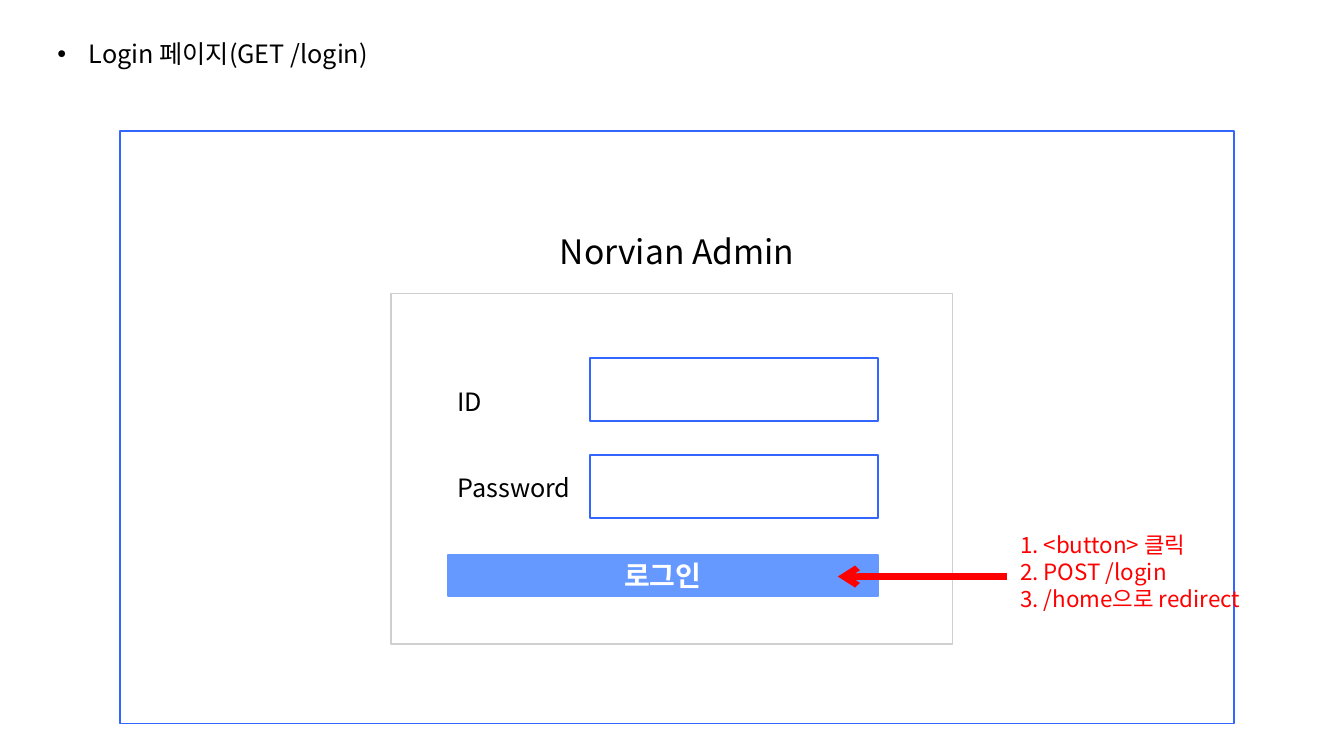
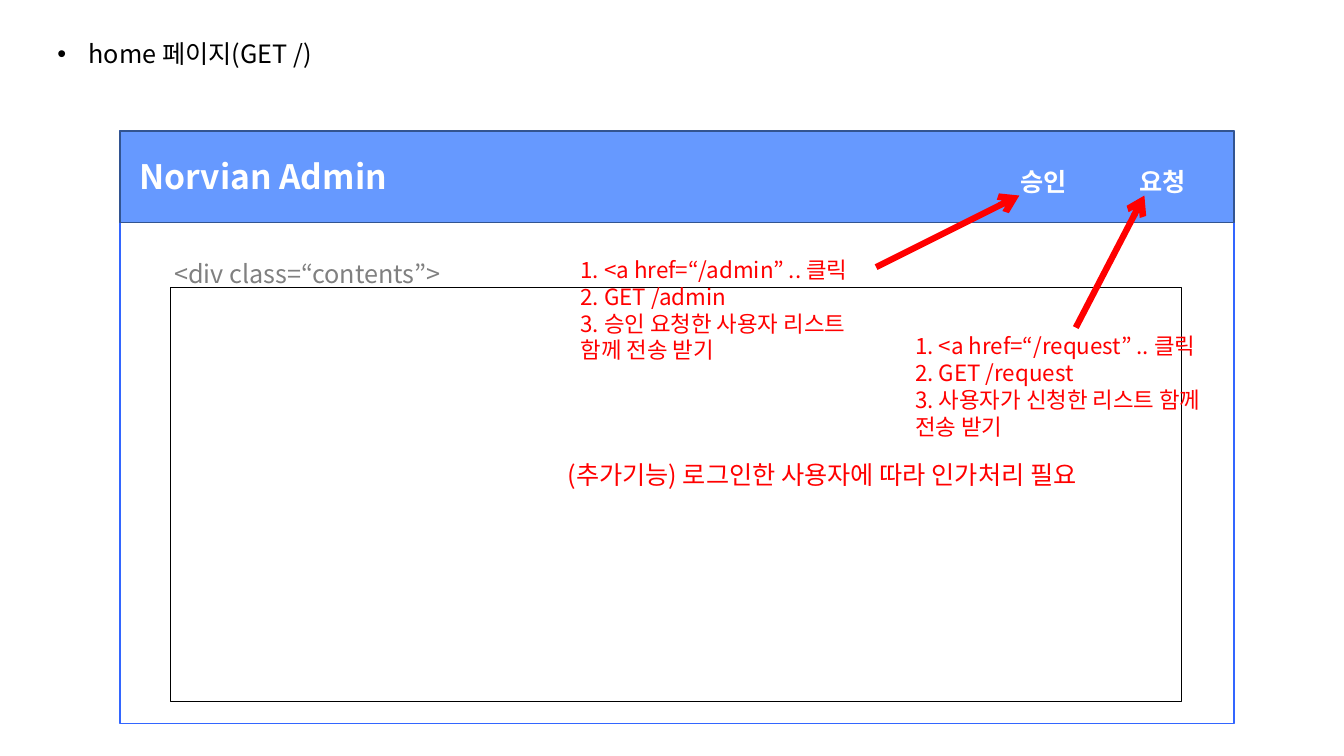
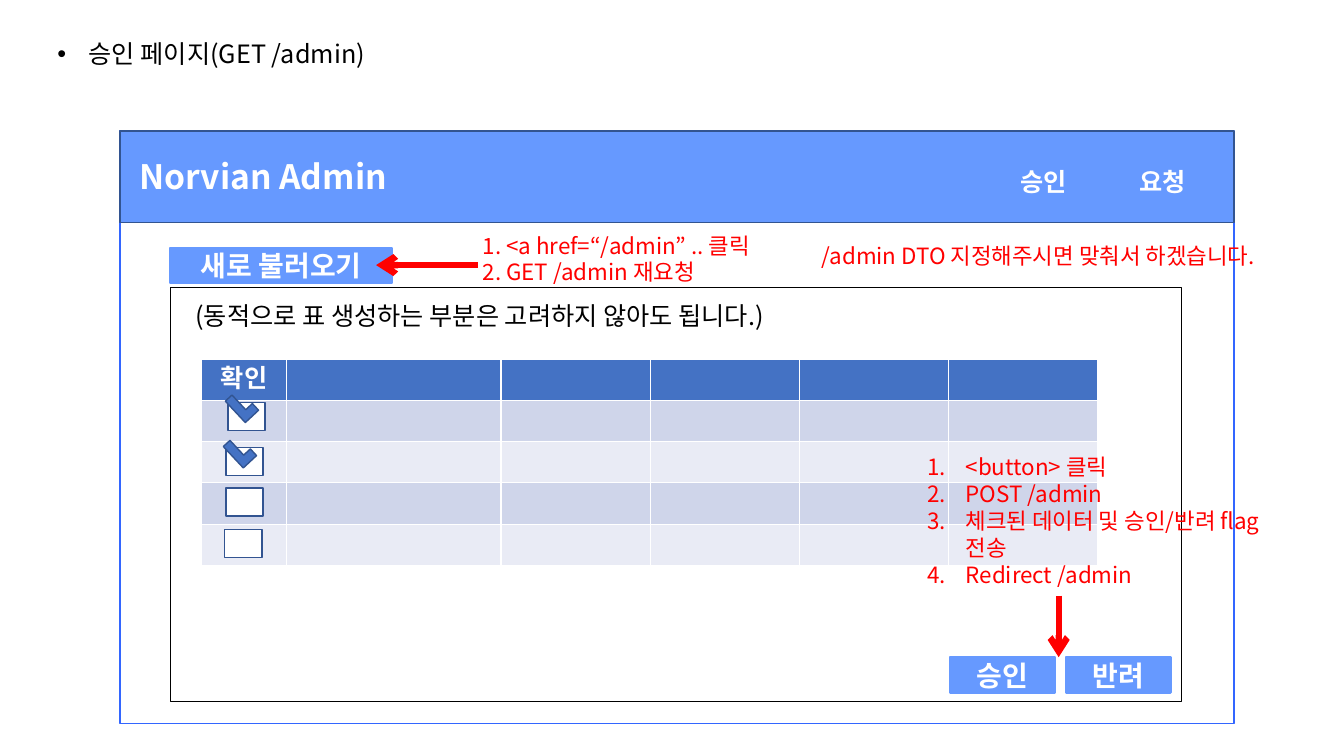
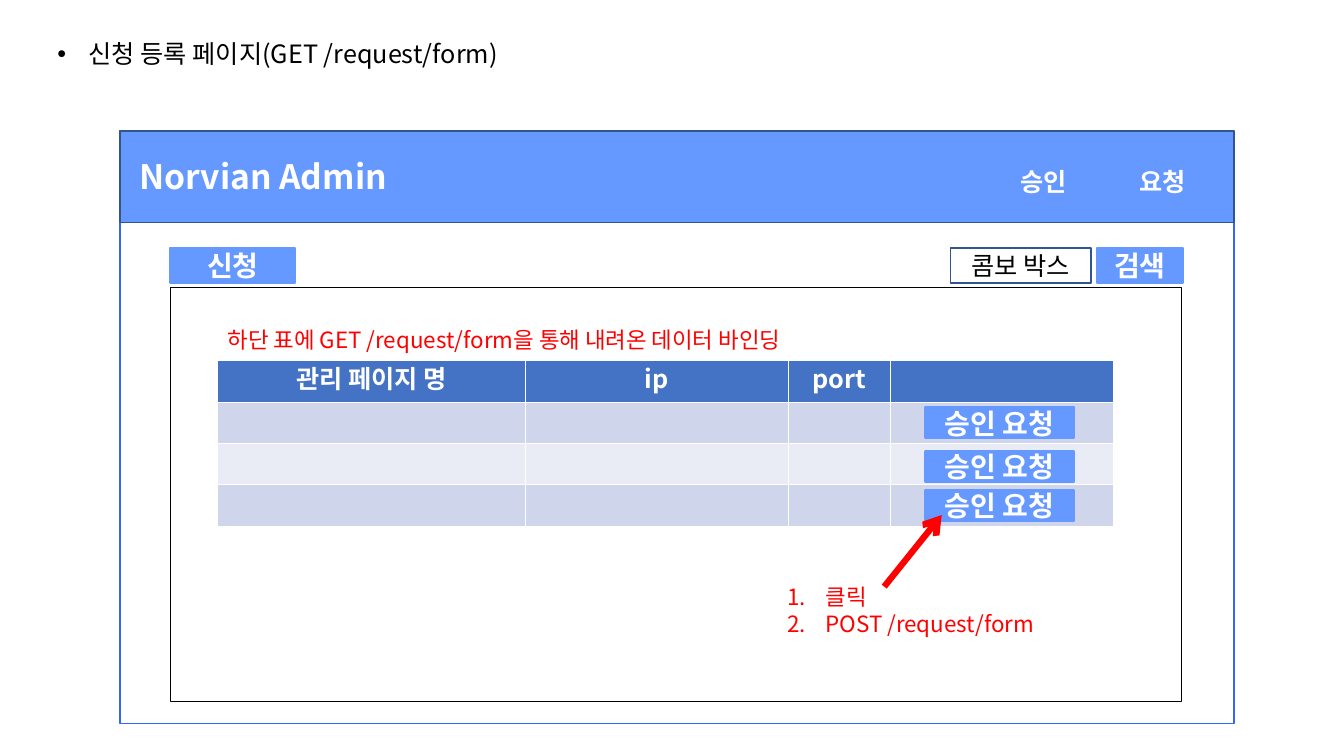
"""Build a four-slide wireframe of an admin site: login, home, approval and request pages."""
from lxml import etree
from pptx import Presentation
from pptx import util as u
from pptx.dml.color import RGBColor
from pptx.enum import shapes, text
from pptx.oxml import ns

COLORS = {
    "black": "000000", "white": "FFFFFF", "red": "FF0000", "gray": "808080",
    "silver": "D0CECE", "frame": "3366FF", "button": "6699FF", "edge": "325491",
    "header": "4472C4", "odd": "CFD5EA", "even": "E9EBF5",
}
RGB = {name: RGBColor.from_string(value) for name, value in COLORS.items()}
FONT = "Noto Sans CJK KR"
BRAND = "Norvian Admin"
LEFT, CENTER = text.PP_ALIGN.LEFT, text.PP_ALIGN.CENTER
FRAME_LEFT, FRAME_TOP, FRAME_WIDTH = 1.19, 1.3, 11.05
PANEL_LEFT, PANEL_TOP = 1.69, 2.85
TOOLBAR_TOP, BUTTON_HEIGHT = 2.46, 0.35


def write(frame, content, size=18, ink="black", bold=False, align=LEFT, bullet=None):
    """Fill a text frame, one paragraph per line, with an optional bullet or numbering."""
    frame.text = content
    for para in frame.paragraphs:
        para.alignment = align
        para.line_spacing = u.Pt(size * 1.2)
        for span in para.runs:
            span.font.size = u.Pt(size)
            span.font.bold = bold
            span.font.color.rgb = RGB[ink]
            span.font.name = FONT
            etree.SubElement(span.font._element, ns.qn("a:ea"), typeface=FONT)
        if bullet:
            indent = u.Inches(0.38 if bullet == "number" else 0.31)
            props = para._p.get_or_add_pPr()
            props.set("marL", str(indent))
            props.set("indent", str(-indent))
            if bullet == "number":
                etree.SubElement(props, ns.qn("a:buAutoNum"), type="arabicPeriod")
            else:
                etree.SubElement(props, ns.qn("a:buFont"), typeface="Arial")
                etree.SubElement(props, ns.qn("a:buChar"), char=bullet)


def box(page, at, content="", fill=None, line=None, weight=1, **style):
    """Add an outlined or filled rectangle, or a text box when it has neither."""
    place = [u.Inches(length) for length in at]
    if fill or line:
        shape = page.shapes.add_shape(shapes.MSO_SHAPE.RECTANGLE, *place)
        shape.shadow.inherit = False
        shape.line.color.rgb = RGB[line]
        shape.line.width = u.Pt(weight)
        if fill:
            shape.fill.solid()
            shape.fill.fore_color.rgb = RGB[fill]
        else:
            shape.fill.background()
        shape.text_frame.vertical_anchor = text.MSO_ANCHOR.MIDDLE
    else:
        shape = page.shapes.add_textbox(*place)
    shape.text_frame.word_wrap = True
    if content:
        write(shape.text_frame, content, **style)
    return shape


BUTTON = dict(fill="button", line="button", weight=1.5, size=20, ink="white", bold=True, align=CENTER)
NOTE = dict(size=16, ink="red")
STEPS = dict(NOTE, bullet="number")
MENU = dict(ink="white", bold=True, align=CENTER)

deck = Presentation()
deck.slide_width, deck.slide_height = u.Inches(13.33), u.Inches(7.5)

titles = ["Login 페이지(GET /login)", "home 페이지(GET /)", "승인 페이지(GET /admin)",
          "신청 등록 페이지(GET /request/form)"]
pages = []
for heading in titles:
    page = deck.slides.add_slide(deck.slide_layouts[5])
    pages.append(page)
    title = page.shapes.title
    title.left, title.top, title.width, title.height = [u.Inches(n) for n in (0.47, 0.33, 5.11, 0.4)]
    title.text_frame.auto_size = text.MSO_AUTO_SIZE.NONE
    title.text_frame.vertical_anchor = text.MSO_ANCHOR.TOP
    write(title.text_frame, heading, bullet="•")
    box(page, (FRAME_LEFT, FRAME_TOP, FRAME_WIDTH, 5.88), line="frame")
login, home, approval, request = pages

for page in pages[1:]:
    box(page, (FRAME_LEFT, FRAME_TOP, FRAME_WIDTH, 0.91), fill="button", line="edge")
    box(page, (FRAME_LEFT, 1.5, 2.84, 0.5), BRAND, size=24, **MENU)
    for left, label in ((9.87, "승인"), (11.05, "요청")):
        box(page, (left, 1.6, 0.96, 0.4), label, **MENU)
    box(page, (PANEL_LEFT, PANEL_TOP, 10.03, 4.11), line="black")

box(login, (3.88, 2.91, 5.57, 3.48), line="silver")
for label, label_top, field_top in (("ID", 3.78, 3.55), ("Password", 4.64, 4.51)):
    box(login, (5.85, field_top, 2.86, 0.63), line="frame", weight=1.5)
    box(login, (4.44, label_top, 1.71, 0.4), label)
box(login, (4.44, 5.51, 4.27, 0.4), "로그인", **BUTTON)
box(login, (5.2, 2.24, 3.03, 0.5), BRAND, size=24, align=CENTER)
box(login, (10.02, 5.22, 3.03, 0.91), "1. <button> 클릭\n2. POST /login\n3. /home으로 redirect", **NOTE)

box(home, (5.66, 2.49, 3.03, 1.18),
    "1. <a href=“/admin” .. 클릭\n2. GET /admin\n3. 승인 요청한 사용자 리스트 함께 전송 받기", **NOTE)
box(home, (8.98, 3.25, 3.26, 1.18),
    "1. <a href=“/request” .. 클릭\n2. GET /request\n3. 사용자가 신청한 리스트 함께 전송 받기", **NOTE)
box(home, (1.63, 2.51, 3.19, 0.4), "<div class=“contents”>", ink="gray")
box(home, (5.53, 4.51, 6.68, 0.4), "(추가기능) 로그인한 사용자에 따라 인가처리 필요", ink="red")

tables = [
    (approval, 2, 3.57, [0.84, 2.13] + [1.48] * 4, [0.4] + [0.41] * 4, ["확인"]),
    (request, 2.16, 3.58, [3.05, 2.61, 1.01, 2.22], [0.41] * 4, ["관리 페이지 명", "ip", "port"]),
]
for page, left, top, widths, heights, labels in tables:
    grid = page.shapes.add_table(len(heights), len(widths), u.Inches(left), u.Inches(top),
                                 u.Inches(sum(widths)), u.Inches(sum(heights))).table
    for column, width in zip(grid.columns, widths):
        column.width = u.Inches(width)
    for index, (row, height) in enumerate(zip(grid.rows, heights)):
        row.height = u.Inches(height)
        for cell in row.cells:
            cell.fill.solid()
            cell.fill.fore_color.rgb = RGB["header" if index == 0 else "odd" if index % 2 else "even"]
    for column, label in enumerate(labels):
        write(grid.cell(0, column).text_frame, label, **MENU)

box(approval, (PANEL_LEFT, TOOLBAR_TOP, 2.2, BUTTON_HEIGHT), "새로 불러오기", **BUTTON)
box(approval, (4.69, 2.25, 3.03, 0.64), "1. <a href=“/admin” .. 클릭\n2. GET /admin 재요청", **NOTE)
box(approval, (8.05, 2.35, 5.35, 0.37), "/admin DTO 지정해주시면 맞춰서 하겠습니다.", **NOTE)
box(approval, (1.84, 2.93, 9.22, 0.4), "(동적으로 표 생성하는 부분은 고려하지 않아도 됩니다.)")
for left, label in ((9.42, "승인"), (10.57, "반려")):
    box(approval, (left, 6.52, 1.04, BUTTON_HEIGHT), label, **BUTTON)
for left, top, checked in ((2.26, 3.99, True), (2.24, 4.44, True), (2.24, 4.84, False), (2.23, 5.25, False)):
    box(approval, (left, top, 0.37, 0.28), fill="white", line="edge")
    if checked:
        tick = box(approval, (left + 0.05, top - 0.11, 0.18, 0.29), fill="header", line="edge")
        tick._element.spPr.find(ns.qn("a:prstGeom")).set("prst", "corner")
        tick.rotation = 317
box(approval, (9.1, 4.45, 3.64, 1.45),
    "<button> 클릭\nPOST /admin\n체크된 데이터 및 승인/반려 flag 전송\nRedirect /admin", **STEPS)

box(request, (PANEL_LEFT, TOOLBAR_TOP, 1.24, BUTTON_HEIGHT), "신청", **BUTTON)
box(request, (10.88, TOOLBAR_TOP, 0.85, BUTTON_HEIGHT), "검색", **BUTTON)
box(request, (9.43, TOOLBAR_TOP, 1.39, BUTTON_HEIGHT), "콤보 박스", fill="white", line="edge", align=CENTER)
box(request, (2.16, 3.19, 6.83, 0.37), "하단 표에 GET /request/form을 통해 내려온 데이터 바인딩", **NOTE)
for top in (4.04, 4.47, 4.86):
    box(request, (9.18, top, 1.47, 0.31), "승인 요청", **BUTTON)
box(request, (7.71, 5.74, 2.93, 0.64), "클릭\nPOST /request/form", **STEPS)

arrows = [
    (login, 9.99, 5.72, 8.31, 5.72),
    (home, 8.69, 2.65, 10.11, 1.94),
    (home, 10.67, 3.25, 11.35, 1.94),
    (approval, 4.74, 2.63, 3.73, 2.63),
    (approval, 10.5, 5.91, 10.5, 6.52),
    (request, 8.77, 5.82, 9.34, 5.11),
]
for page, *ends in arrows:
    arrow = page.shapes.add_connector(shapes.MSO_CONNECTOR.STRAIGHT, *[u.Inches(n) for n in ends])
    arrow.line.color.rgb = RGB["red"]
    arrow.line.width = u.Pt(4.5)
    etree.SubElement(arrow.line._get_or_add_ln(), ns.qn("a:tailEnd"), type="arrow")
    etree.SubElement(arrow._element.spPr, ns.qn("a:effectLst"))

deck.save("out.pptx")
